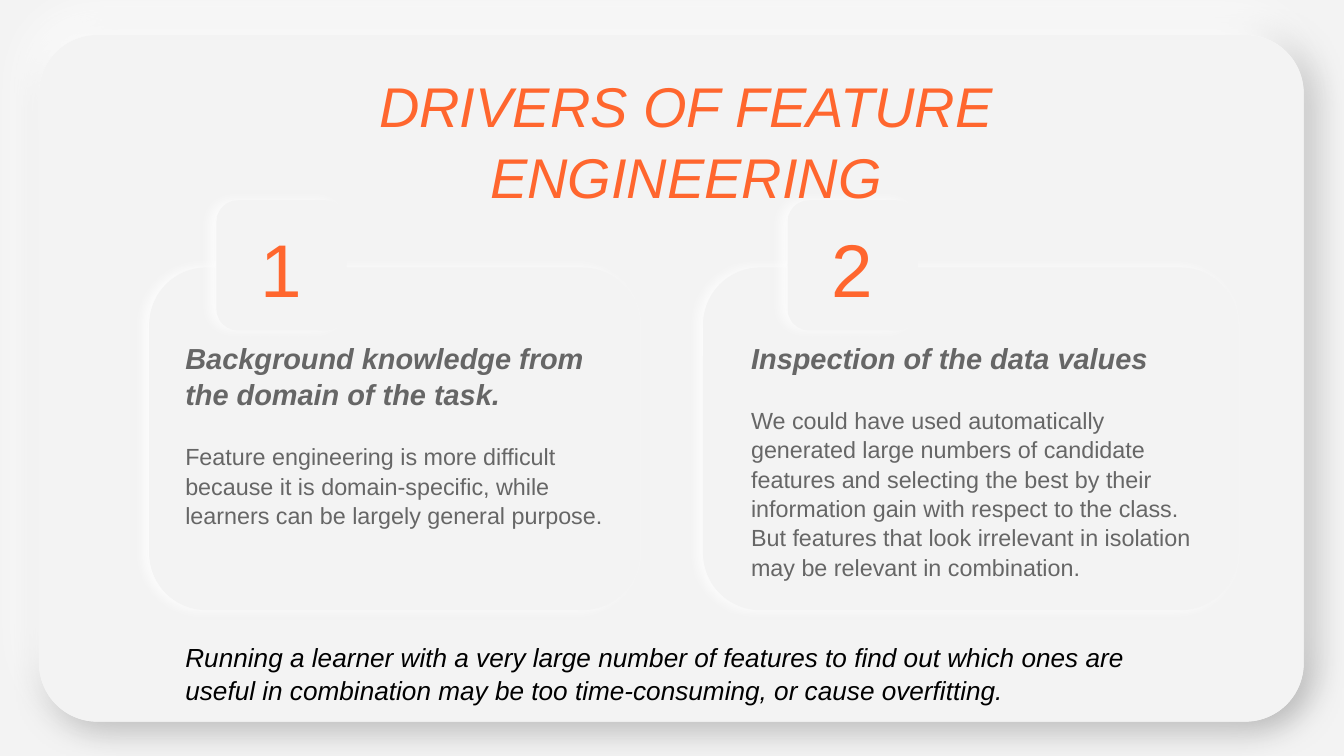
import dataclasses

import lxml.etree
import pptx
import pptx.dml.color
import pptx.enum.shapes
import pptx.enum.text
import pptx.oxml.ns
import pptx.util

Pt = pptx.util.Pt
ALIGN = pptx.enum.text.PP_ALIGN
ANCHOR = pptx.enum.text.MSO_ANCHOR


@dataclasses.dataclass(frozen=True)
class Theme:
    font: str = "Arial"
    surface: str = "F3F3F3"
    accent: str = "FF662E"
    body: str = "666666"
    note: str = "000000"
    light: str = "FFFFFF"
    shade: str = "999999"
    title_size: float = 30
    number_size: float = 40
    heading_size: float = 15.5
    body_size: float = 12.5
    note_size: float = 14
    line_spacing: float = 1.05
    inset: float = 7.2


THEME = Theme()

# Shadows: colour, opacity %, blur, distance, direction in degrees
PANEL_SHADE = (THEME.shade, 88, 19.1, 5.2, 37)
PANEL_LIGHT = (THEME.light, 100, 24.8, 11.2, 247)
CARD_LIGHT = (THEME.light, 95, 7.9, 3, 183)
BADGE_LIGHT = (THEME.light, 95, 7.9, 3.8, 183)

# Columns: card left and width, badge left, text left and width, then wording
DRIVERS = [
    (79.9, 262.8, 115.9, 92.2, 237.6, "1",
     "Background knowledge from the domain of the task.",
     "Feature engineering is more difficult because it is domain-specific, "
     "while learners can be largely general purpose."),
    (376.6, 286.6, 421.9, 395.3, 251.3, "2",
     "Inspection of the data values",
     "We could have used automatically generated large numbers of candidate "
     "features and selecting the best by their information gain with respect "
     "to the class. But features that look irrelevant in isolation may be "
     "relevant in combination."),
]


def rgb(colour):
    return pptx.dml.color.RGBColor.from_string(colour)


def add_soft_panel(slide, box, corner, shadow, rotation=0):
    panel = slide.shapes.add_shape(
        pptx.enum.shapes.MSO_SHAPE.ROUNDED_RECTANGLE, *map(Pt, box))
    panel.adjustments[0] = corner
    panel.rotation = rotation
    panel.fill.solid()
    panel.fill.fore_color.rgb = rgb(THEME.surface)
    panel.line.fill.background()
    panel.shadow.inherit = False

    colour, opacity, blur, distance, direction = shadow
    qn = pptx.oxml.ns.qn
    effects = panel.element.spPr.find(qn("a:effectLst"))
    outer = lxml.etree.SubElement(
        effects, qn("a:outerShdw"), blurRad=str(Pt(blur)), dist=str(Pt(distance)),
        dir=str(direction * 60000), algn="bl", rotWithShape="0")
    tint = lxml.etree.SubElement(outer, qn("a:srgbClr"), val=colour)
    lxml.etree.SubElement(tint, qn("a:alpha"), val=str(opacity * 1000))


def add_text_frame(slide, box, anchor=ANCHOR.TOP):
    frame = slide.shapes.add_textbox(*map(Pt, box)).text_frame
    frame.word_wrap = True
    frame.vertical_anchor = anchor
    frame.margin_left = frame.margin_right = Pt(THEME.inset)
    frame.margin_top = frame.margin_bottom = Pt(THEME.inset)
    return frame


def write(paragraph, text, size, colour, bold=False, italic=False, align=ALIGN.LEFT):
    paragraph.text = text
    paragraph.alignment = align
    paragraph.line_spacing = THEME.line_spacing
    font = paragraph.font
    font.name, font.size = THEME.font, Pt(size)
    font.bold, font.italic = bold, italic
    font.color.rgb = rgb(colour)


def add_badge(slide, left, number):
    add_soft_panel(slide, (left, 107.3, 69.8, 69.8), 0.167, BADGE_LIGHT)
    frame = add_text_frame(slide, (left, 123.1, 69.1, 38.2), ANCHOR.MIDDLE)
    write(frame.paragraphs[0], number, THEME.number_size, THEME.accent,
          align=ALIGN.CENTER)


def add_explanation(slide, left, width, heading, detail):
    frame = add_text_frame(slide, (left, 174.2, width, 144))
    write(frame.paragraphs[0], heading, THEME.heading_size, THEME.body,
          bold=True, italic=True)
    explanation = frame.add_paragraph()
    write(explanation, detail, THEME.body_size, THEME.body)
    explanation.space_before = explanation.space_after = Pt(16)


def main():
    deck = pptx.Presentation()
    deck.slide_width, deck.slide_height = Pt(720), Pt(405)
    slide = deck.slides.add_slide(deck.slide_layouts[6])
    slide.background.fill.solid()
    slide.background.fill.fore_color.rgb = rgb(THEME.surface)

    # Raised backdrop, shaded on one side and lit on the other
    backdrop = (20.9, 18.7, 677.5, 367.9)
    add_soft_panel(slide, backdrop, 0.085, PANEL_SHADE, rotation=180)
    add_soft_panel(slide, backdrop, 0.085, PANEL_LIGHT)

    # Numbered drivers
    for card_left, card_width, *_ in DRIVERS:
        add_soft_panel(slide, (card_left, 143.3, card_width, 183.6), 0.167, CARD_LIGHT)
    for _, _, badge_left, text_left, text_width, number, heading, detail in DRIVERS:
        add_badge(slide, badge_left, number)
        add_explanation(slide, text_left, text_width, heading, detail)

    # Title
    title = add_text_frame(slide, (108.7, 29.5, 517.7, 49.7))
    write(title.paragraphs[0], "DRIVERS OF FEATURE ENGINEERING", THEME.title_size,
          THEME.accent, italic=True, align=ALIGN.CENTER)

    # Closing caution
    caution = add_text_frame(slide, (92.2, 335.5, 555.1, 38.2))
    write(caution.paragraphs[0],
          "Running a learner with a very large number of features to find out "
          "which ones are useful in combination may be too time-consuming, or "
          "cause overfitting.", THEME.note_size, THEME.note, italic=True)

    deck.save("out.pptx")


if __name__ == "__main__":
    main()
